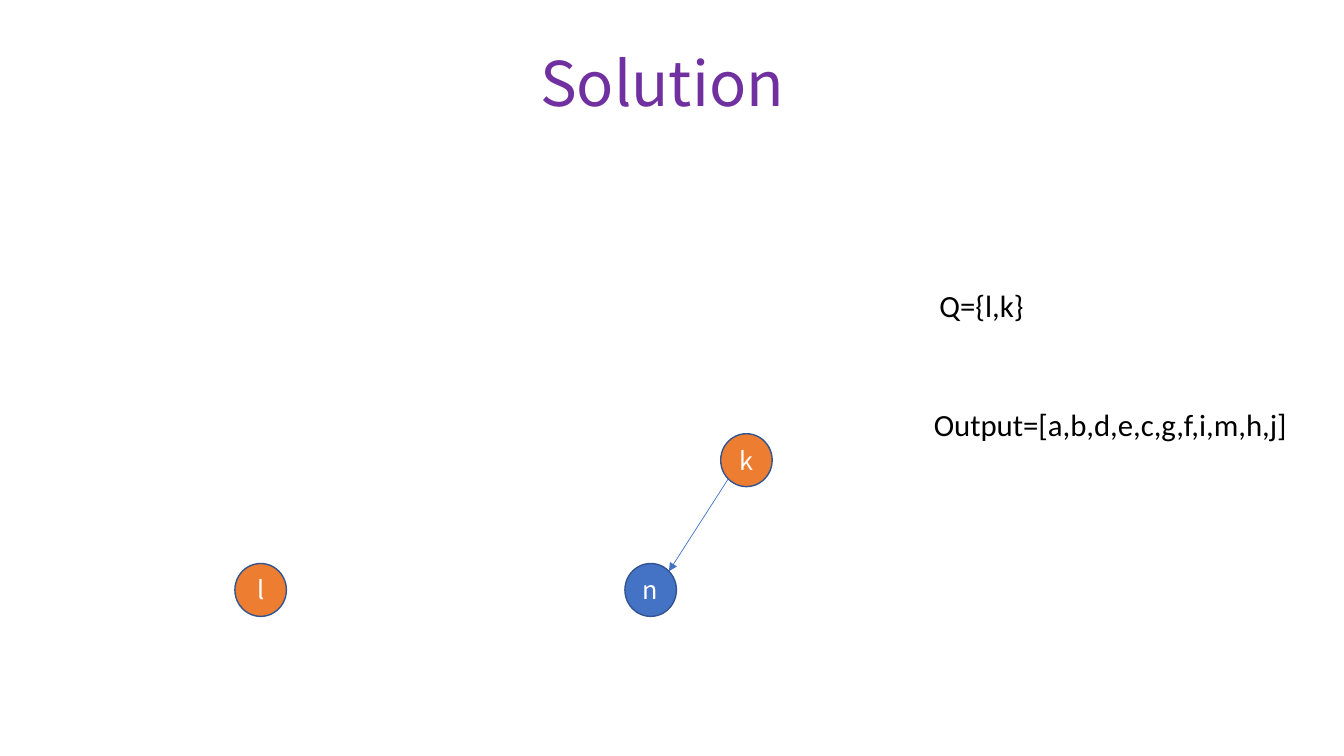
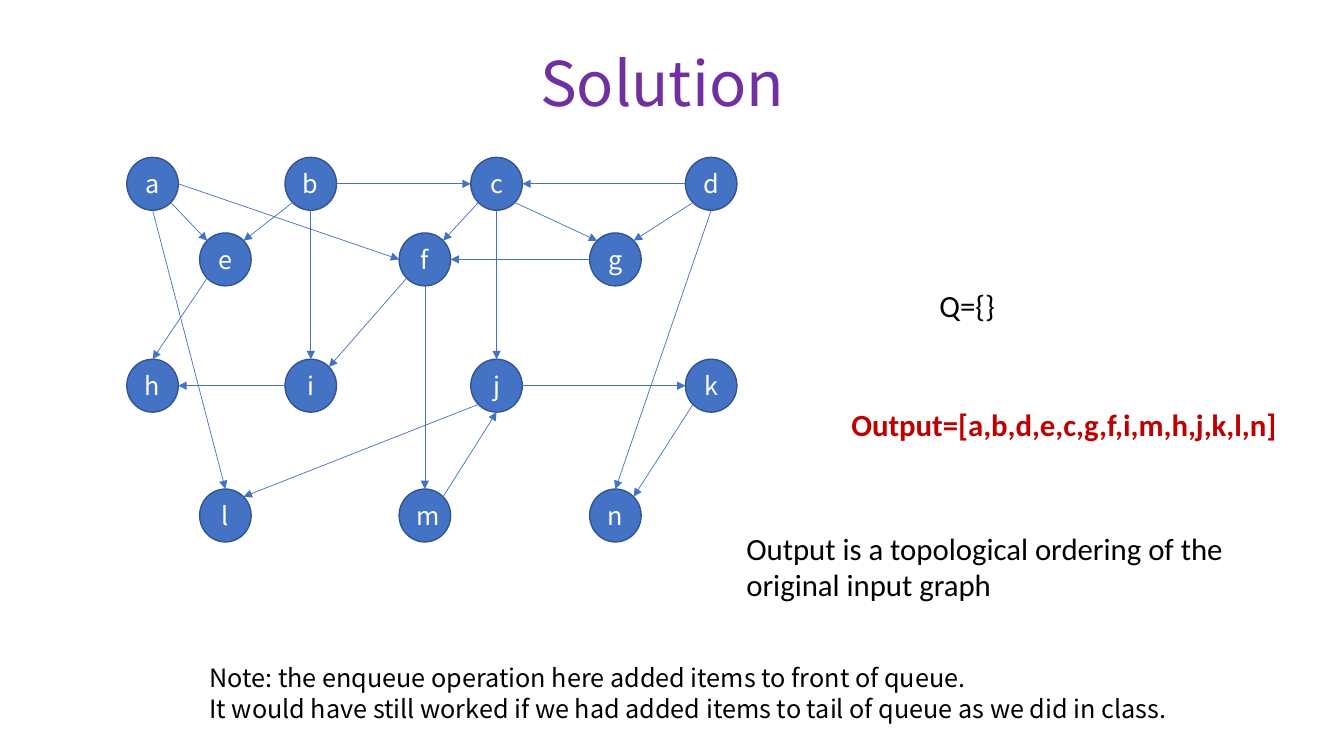
from math import cos, pi, sin

from lxml.etree import SubElement
from pptx import Presentation
from pptx.dml.color import RGBColor
from pptx.enum.shapes import MSO_CONNECTOR, MSO_SHAPE
from pptx.enum.text import MSO_ANCHOR, PP_ALIGN
from pptx.oxml.ns import qn
from pptx.util import Pt

COLORS = {
    "title": "7030A0", "node": "4472C4", "queued": "ED7D31", "edge": "325491",
    "white": "FFFFFF", "black": "000000", "result": "C00000",
}
BODY, HEAD = "Calibri", "Noto Sans CJK SC"
NODE_W, NODE_H = 36.8, 37.8

# Graph layout: each node sits on a column and a row (centres)
UPPER, LOWER = (109, 222, 354.7, 508), (161, 303.5, 439.6)
ROWS = (
    ("abcd", UPPER, 131.3), ("efg", LOWER, 185.3),
    ("hijk", UPPER, 275.5), ("lmn", LOWER, 368.2),
)
CENTERS = {
    name: (x, y) for names, xs, y in ROWS for name, x in zip(names, xs)
}

# Oval connection sites run counterclockwise from the top
SITES = ("N", "NW", "W", "SW", "S", "SE", "E", "NE")
EDGES = (
    "a SE e NW", "b SW e NE", "b E c W", "d W c E", "d SW g NE", "c SE g NW",
    "g W f E", "c SW f NE", "c S j N", "j E k W", "m NE j S", "k SW n NE",
    "d S n N", "f S m N", "j SW l NE", "a S l N", "e SW h N", "i W h E",
    "a E f W", "b S i N", "f SW i NE",
)


def color(key):
    return RGBColor.from_string(COLORS[key])


def write(para, text, size, font, tint, bold=False):
    run = para.add_run()
    run.text = text
    run.font.size, run.font.name, run.font.bold = Pt(size), font, bold
    run.font.color.rgb = color(tint)


def add_title(slide, text):
    title = slide.shapes.title
    title.left, title.top = Pt(59), Pt(9.5)
    title.width, title.height = Pt(828), Pt(104.4)
    title.text_frame.vertical_anchor = MSO_ANCHOR.MIDDLE
    para = title.text_frame.paragraphs[0]
    para.alignment, para.line_spacing = PP_ALIGN.CENTER, 0.9
    write(para, text, 44, HEAD, "title")


def add_label(slide, box, lines, size=22, font=BODY, tint="black",
              bold=False, pitch=None):
    frame = slide.shapes.add_textbox(*map(Pt, box)).text_frame
    frame.word_wrap = True
    for i, line in enumerate(lines):
        para = frame.add_paragraph() if i else frame.paragraphs[0]
        if pitch:
            para.line_spacing = Pt(pitch)
        write(para, line, size, font, tint, bold)


def add_node(slide, name, x, y, fill):
    node = slide.shapes.add_shape(
        MSO_SHAPE.OVAL, Pt(x - NODE_W / 2), Pt(y - NODE_H / 2),
        Pt(NODE_W), Pt(NODE_H))
    node.shadow.inherit = False
    node.fill.solid()
    node.fill.fore_color.rgb = color(fill)
    node.line.color.rgb = color("edge")
    node.line.width = Pt(1)
    node.text_frame.vertical_anchor = MSO_ANCHOR.MIDDLE
    para = node.text_frame.paragraphs[0]
    para.alignment = PP_ALIGN.CENTER
    write(para, name, 18, HEAD, "white")
    return node


def site_at(node, site):
    turn = SITES.index(site) * pi / 4
    x = node.left + node.width / 2 * (1 - sin(turn))
    y = node.top + node.height / 2 * (1 - cos(turn))
    return int(x), int(y)


def add_edge(slide, start, exit_at, end, enter_at):
    edge = slide.shapes.add_connector(
        MSO_CONNECTOR.STRAIGHT, *site_at(start, exit_at),
        *site_at(end, enter_at))
    edge.line.color.rgb = color("node")
    edge.line.width = Pt(0.5)
    # Arrowhead, no shadow, and glue to the ovals' eight sites
    SubElement(edge.line._get_or_add_ln(), qn("a:tailEnd"), type="triangle")
    SubElement(edge._element.spPr, qn("a:effectLst"))
    glue = edge._element.find(".//" + qn("p:cNvCxnSpPr"))
    for tag, node, site in (("a:stCxn", start, exit_at),
                            ("a:endCxn", end, enter_at)):
        SubElement(glue, qn(tag), id=str(node.shape_id),
                   idx=str(SITES.index(site)))


def add_graph(slide, names, queued="", shift=(0, 0)):
    nodes = {}
    for name in names:
        x, y = CENTERS[name]
        fill = "queued" if name in queued else "node"
        nodes[name] = add_node(slide, name, x + shift[0], y + shift[1], fill)
    for edge in EDGES:
        start, exit_at, end, enter_at = edge.split()
        if start in nodes and end in nodes:
            add_edge(slide, nodes[start], exit_at, nodes[end], enter_at)


def add_slide(deck, queue):
    slide = deck.slides.add_slide(deck.slide_layouts[5])
    add_title(slide, "Solution")
    add_label(slide, (664, 201, 203, 34), [queue])
    return slide


def main():
    deck = Presentation()
    deck.slide_width, deck.slide_height = Pt(960), Pt(540)

    # Last nodes in the queue
    slide = add_slide(deck, "Q={l,k}")
    add_graph(slide, "kln", queued="kl", shift=(25.2, 53.2))
    add_label(slide, (660, 286.5, 274, 34), ["Output=[a,b,d,e,c,g,f,i,m,h,j]"])

    # Finished ordering with the whole graph
    slide = add_slide(deck, "Q={}")
    add_graph(slide, CENTERS)
    add_label(slide, (601, 286.5, 333, 34),
              ["Output=[a,b,d,e,c,g,f,i,m,h,j,k,l,n]"],
              tint="result", bold=True)
    add_label(slide, (526, 374.5, 408, 61),
              ["Output is a topological ordering of the original input graph"])
    add_label(slide, (142.5, 469, 777, 52), [
        "Note: the enqueue operation here added items to front of queue.",
        "It would have still worked if we had added items to tail of queue "
        "as we did in class.",
    ], size=18, font=HEAD, pitch=22)

    deck.save("out.pptx")


if __name__ == "__main__":
    main()
